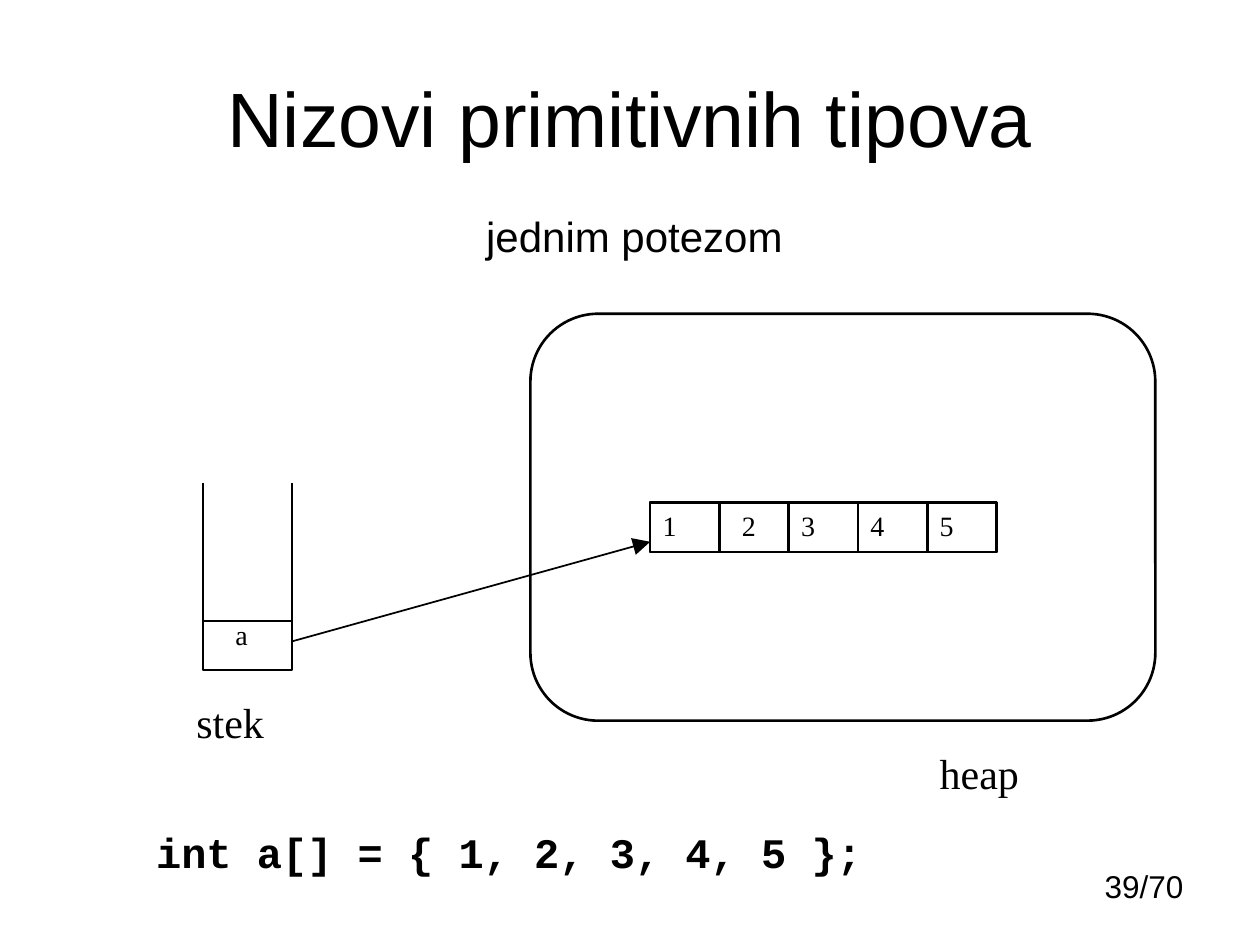
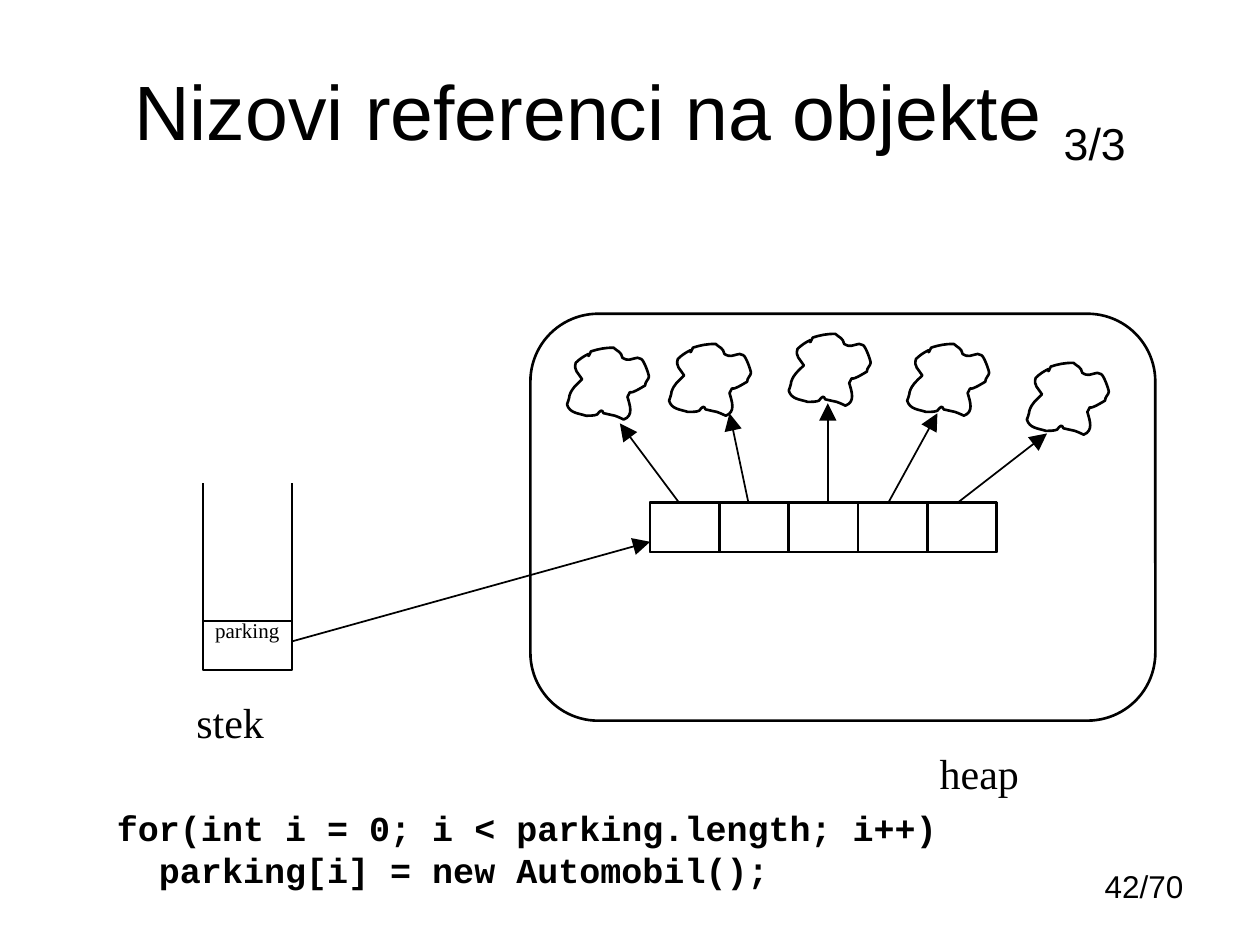
from lxml import etree
from pptx import Presentation
from pptx.dml.color import RGBColor
from pptx.enum.shapes import MSO_CONNECTOR, MSO_SHAPE
from pptx.enum.text import MSO_ANCHOR, MSO_AUTO_SIZE, PP_ALIGN
from pptx.oxml.ns import qn
from pptx.util import Inches, Pt

STRAIGHT = MSO_CONNECTOR.STRAIGHT
RECTANGLE, ROUNDED = MSO_SHAPE.RECTANGLE, MSO_SHAPE.ROUNDED_RECTANGLE
LEFT, CENTER, RIGHT = PP_ALIGN.LEFT, PP_ALIGN.CENTER, PP_ALIGN.RIGHT
MIDDLE = MSO_ANCHOR.MIDDLE
NO_FIT, FIT_SHAPE = MSO_AUTO_SIZE.NONE, MSO_AUTO_SIZE.SHAPE_TO_FIT_TEXT

COLORS = {"ink": "000000"}
INK = RGBColor.from_string(COLORS["ink"])
SANS, SERIF, MONO = "Arial", "Times New Roman", "Courier New"

# Array cells on the heap
ARRAY_LEFT, ARRAY_TOP, CELL_WIDTH, CELL_HEIGHT = 5.16, 3.99, 0.55, 0.39
CELL_LEFTS = [ARRAY_LEFT + CELL_WIDTH * index for index in range(5)]

# Object outline: start point, then Bezier triples, relative to its top left corner
OBJECT_START = (0.17, 0.05)
OBJECT_CURVES = [
    (0.13, 0.07, 0.10, 0.09, 0.07, 0.12), (0.05, 0.18, 0.09, 0.20, 0.12, 0.25),
    (0.07, 0.30, 0.04, 0.32, 0.02, 0.38), (0.02, 0.40, 0.00, 0.45, 0.00, 0.45),
    (0.02, 0.52, 0.09, 0.52, 0.15, 0.54), (0.18, 0.54, 0.22, 0.54, 0.24, 0.53),
    (0.26, 0.52, 0.25, 0.50, 0.27, 0.50), (0.28, 0.49, 0.28, 0.51, 0.29, 0.52),
    (0.32, 0.53, 0.35, 0.53, 0.38, 0.54), (0.41, 0.55, 0.45, 0.57, 0.45, 0.57),
    (0.53, 0.54, 0.50, 0.46, 0.48, 0.39), (0.52, 0.32, 0.47, 0.38, 0.55, 0.34),
    (0.57, 0.33, 0.62, 0.30, 0.62, 0.30), (0.62, 0.27, 0.65, 0.25, 0.65, 0.23),
    (0.65, 0.21, 0.61, 0.10, 0.59, 0.09), (0.58, 0.08, 0.57, 0.08, 0.56, 0.08),
    (0.50, 0.09, 0.49, 0.11, 0.44, 0.08), (0.43, 0.03, 0.40, 0.03, 0.37, 0.00),
    (0.30, 0.00, 0.25, 0.01, 0.19, 0.03), (0.17, 0.07, 0.17, 0.08, 0.17, 0.05),
]

# Each object: left, top, then the arrow from its cell (start x, end x, end y)
OBJECTS = [
    (4.50, 2.76, 5.39, 4.92, 3.36),
    (5.31, 2.73, 5.94, 5.79, 3.28),
    (6.26, 2.65, 6.57, 6.57, 3.20),
    (7.20, 2.73, 7.05, 7.44, 3.28),
    (8.15, 2.88, 7.60, 8.31, 3.44),
]

SLIDES = [
    {"title": "Nizovi primitivnih tipova", "part": "", "page": "39/70",
     "variable": ("a", 1.77, 0.47, 0.37, 16, 10)},
    {"title": "Nizovi referenci na objekte ", "part": "3/3", "page": "42/70",
     "variable": ("parking", 1.61, 0.79, 0.30, 12, 7.5)},
]


def add_text(slide, text, box, font_name, size, before=0, align=LEFT, bold=False, wrap=True):
    shape = slide.shapes.add_textbox(*map(Inches, box))
    frame = shape.text_frame
    frame.word_wrap = wrap
    frame.auto_size = FIT_SHAPE
    paragraph = frame.paragraphs[0]
    paragraph.text = text
    paragraph.alignment = align
    paragraph.space_before = Pt(before)
    paragraph.font.name = font_name
    paragraph.font.size = Pt(size)
    paragraph.font.bold = bold
    paragraph.font.color.rgb = INK


def add_line(slide, start, end, arrow=False):
    connector = slide.shapes.add_connector(STRAIGHT, *map(Inches, start + end))
    connector.line.color.rgb = INK
    connector.line.width = Pt(1)
    if arrow:
        line = connector.line._get_or_add_ln()
        etree.SubElement(line, qn("a:tailEnd"), type="triangle", w="lg", len="lg")
    etree.SubElement(connector._element.spPr, qn("a:effectLst"))


presentation = Presentation()
presentation.slide_width = Inches(10)
presentation.slide_height = Inches(7.5)
slides = []

# Shared parts: title, page number, stack, heap and array
for content in SLIDES:
    slide = presentation.slides.add_slide(presentation.slide_layouts[5])
    slides.append(slide)

    title = slide.shapes.title
    title.left, title.top, title.width, title.height = map(Inches, (0.5, 0.3, 9, 1.25))
    title.text_frame.auto_size = NO_FIT
    title.text_frame.vertical_anchor = MIDDLE
    paragraph = title.text_frame.paragraphs[0]
    paragraph.text = content["title"]
    paragraph.alignment = CENTER
    paragraph.font.name = SANS
    paragraph.font.size = Pt(44)
    paragraph.font.color.rgb = INK
    if content["part"]:
        run = paragraph.add_run()
        run.text = content["part"]
        run._r.get_or_add_rPr().set("baseline", "-25000")

    add_text(slide, content["page"], (7.21, 6.83, 2.28, 0.4), SANS, 18, align=RIGHT)

    boxes = [
        (RECTANGLE, 1.61, 4.93, 0.71, 0.39, 1),
        (ROUNDED, 4.21, 2.49, 4.96, 3.23, 1.5),
        (RECTANGLE, ARRAY_LEFT, ARRAY_TOP, 5 * CELL_WIDTH, CELL_HEIGHT, 1.5),
    ]
    boxes += [(RECTANGLE, left, ARRAY_TOP, CELL_WIDTH, CELL_HEIGHT, 1.5) for left in CELL_LEFTS]
    for kind, left, top, width, height, line_width in boxes:
        shape = slide.shapes.add_shape(kind, *map(Inches, (left, top, width, height)))
        shape.shadow.inherit = False
        shape.fill.background()
        shape.line.color.rgb = INK
        shape.line.width = Pt(line_width)

    for wall in (1.61, 2.32):
        add_line(slide, (wall, 5.32), (wall, 3.83))
    add_text(slide, "heap", (7.36, 5.88, 1.5, 0.5), SERIF, 24, 15)
    add_text(slide, "stek", (1.46, 5.48, 1.26, 0.5), SERIF, 24, 15)
    name, left, width, height, size, before = content["variable"]
    add_text(slide, name, (left, 4.85, width, height), SERIF, size, before)
    add_line(slide, (2.32, 5.09), (5.16, 4.3), arrow=True)

primitive_slide, reference_slide = slides

# Primitive array: values in the cells, the second one set slightly to the right
for index, left in enumerate(CELL_LEFTS):
    shift = 0.08 if index == 1 else 0
    add_text(primitive_slide, str(index + 1), (left + shift, ARRAY_TOP, 0.31, 0.37),
             SERIF, 16, wrap=False)
add_text(primitive_slide, "int a[] = { 1, 2, 3, 4, 5 };", (1.14, 6.51, 6.85, 0.5),
         MONO, 24, 15, bold=True)
add_text(primitive_slide, "jednim potezom", (1.61, 1.62, 6.85, 0.5), SANS, 24, 15, CENTER)

# Reference array: objects, whose straight segments are turned into curves
for left, top, *_ in OBJECTS:
    corners = [OBJECT_START] + [curve[4:] for curve in OBJECT_CURVES]
    points = [(Inches(left + x), Inches(top + y)) for x, y in corners]
    builder = reference_slide.shapes.build_freeform(*points[0])
    builder.add_line_segments(points[1:], close=True)
    shape = builder.convert_to_shape()
    segments = list(shape._element.iter(qn("a:lnTo")))
    for segment, curve in zip(segments, OBJECT_CURVES):
        bezier = etree.Element(qn("a:cubicBezTo"))
        for x, y in zip(curve[::2], curve[1::2]):
            etree.SubElement(bezier, qn("a:pt"), x=str(int(Inches(x))), y=str(int(Inches(y))))
        segment.getparent().replace(segment, bezier)
    shape.shadow.inherit = False
    shape.fill.background()
    shape.line.color.rgb = INK
    shape.line.width = Pt(1.5)

# Code and the arrows from the cells to the objects
add_text(reference_slide,
         "for(int i = 0; i < parking.length; i++)\v  parking[i] = new Automobil();",
         (0.83, 6.35, 8.03, 0.77), MONO, 20, 5, bold=True)
for _, _, start_x, end_x, end_y in OBJECTS:
    add_line(reference_slide, (start_x, ARRAY_TOP), (end_x, end_y), arrow=True)

presentation.save("out.pptx")
